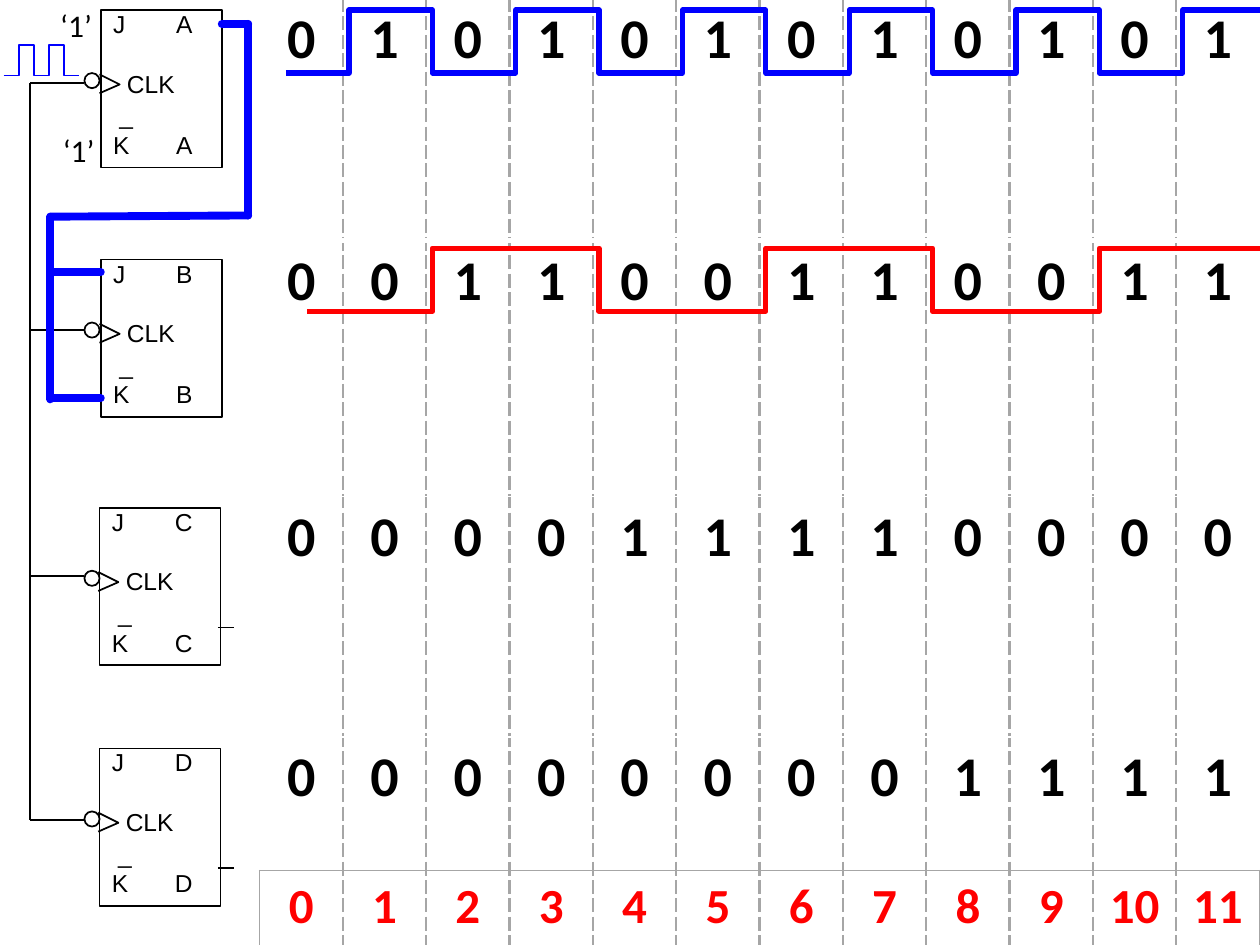
from lxml.etree import SubElement
from pptx import Presentation
from pptx.dml.color import RGBColor
from pptx.enum.shapes import MSO_CONNECTOR, MSO_SHAPE
from pptx.enum.text import PP_ALIGN
from pptx.oxml import parse_xml
from pptx.oxml.ns import nsdecls, qn
from pptx.util import Inches, Pt

BLACK = RGBColor(0x00, 0x00, 0x00)
WHITE = RGBColor(0xFF, 0xFF, 0xFF)
BLUE = RGBColor(0x00, 0x00, 0xFF)
RED = RGBColor(0xFF, 0x00, 0x00)
GREY = RGBColor(0xA6, 0xA6, 0xA6)

COUNTS = 12
TABLE_LEFT = 2.06
TABLE_WIDTH = 7.94
COLUMN = TABLE_WIDTH / COUNTS
ROW_HEIGHTS = [1.92, 2.03, 1.91, 1.06, 0.67]
BITS = [[(count >> place) & 1 for count in range(COUNTS)] for place in range(4)]

DASHED = (GREY, 1.5, "sysDash")
GREY_RULE = (GREY, 1, "solid")
WHITE_RULE = (WHITE, 1, "solid")
ROW_RULES = [WHITE_RULE, (WHITE, 3, "solid"), WHITE_RULE, WHITE_RULE, GREY_RULE, GREY_RULE]

CLOCK_X = 0.24
BUBBLE_X = 0.67
FEEDBACK_X = 0.4
OUTPUT_X = 1.97


class CounterSlide:
    def __init__(self, deck):
        self.slide = deck.slides.add_slide(deck.slide_layouts[6])
        self.shapes = self.slide.shapes

    def style_font(self, paragraph, name, size, color=BLACK, bold=False):
        font = paragraph.font
        font.name, font.size, font.bold = name, Pt(size), bold
        font.color.rgb = color

    def outline(self, shape, color=BLACK, weight=1):
        shape.shadow.inherit = False
        shape.fill.background()
        shape.line.color.rgb = color
        shape.line.width = Pt(weight)

    def box(self, kind, left, top, width, height):
        shape = self.shapes.add_shape(kind, Inches(left), Inches(top), Inches(width), Inches(height))
        self.outline(shape)
        return shape

    def wire(self, start, end, color=BLACK, weight=1):
        wire = self.shapes.add_connector(MSO_CONNECTOR.STRAIGHT, *map(Inches, start + end))
        wire.line.color.rgb = color
        wire.line.width = Pt(weight)
        if weight > 1:
            wire.line._get_or_add_ln().set("cap", "rnd")
        SubElement(wire._element.spPr, qn("a:effectLst"))

    def path_line(self, points, color=BLACK, weight=1):
        corners = [(Inches(x), Inches(y)) for x, y in points]
        builder = self.shapes.build_freeform(*corners[0])
        builder.add_line_segments(corners[1:], close=False)
        self.outline(builder.convert_to_shape(), color, weight)

    def waveform(self, bits, start, first_edge, step, end, high, low, color, weight):
        level = {0: low, 1: high}
        points = [(start, level[bits[0]])]
        for index in range(1, len(bits)):
            if bits[index] != bits[index - 1]:
                edge = first_edge + (index - 1) * step
                points += [(edge, level[bits[index - 1]]), (edge, level[bits[index]])]
        points.append((end, level[bits[-1]]))
        self.path_line(points, color, weight)

    def label(self, text, left, top):
        label = self.shapes.add_textbox(Inches(left), Inches(top), Inches(0.46), Inches(0.4))
        label.text_frame.word_wrap = False
        paragraph = label.text_frame.paragraphs[0]
        paragraph.text = text
        self.style_font(paragraph, "Calibri", 18)

    def flip_flop(self, output, left, top, top_tab, bottom_tab):
        body = self.box(MSO_SHAPE.RECTANGLE, left, top, 0.96, 1.25)
        frame = body.text_frame
        frame.word_wrap = True
        frame.margin_top = Inches(0.1)
        pins = [
            (f"J\t{output}", 0, top_tab, 25),
            ("CLK", 0.11, None, 9),
            ("_", 0.05, None, 8),
            (f"K\t{output}", 0, bottom_tab, 8),
        ]
        frame.text = "\n".join(pin[0] for pin in pins)
        for paragraph, (_, indent, tab, after) in zip(frame.paragraphs, pins):
            paragraph.alignment = PP_ALIGN.LEFT
            paragraph.line_spacing = Pt(9)
            paragraph.space_after = Pt(after)
            properties = paragraph._p.get_or_add_pPr()
            properties.set("marL", str(Inches(indent)))
            properties.set("indent", "0")
            if tab:
                tabs = SubElement(properties, qn("a:tabLst"))
                SubElement(tabs, qn("a:tab"), pos=str(Inches(tab)), algn="l")
            self.style_font(paragraph, "Arial", 14)
        frame.vertical_anchor = 1
        self.box(MSO_SHAPE.OVAL, BUBBLE_X, top + 0.5, 0.12, 0.12)
        edge = left - 0.01
        self.path_line([(edge, top + 0.51), (edge + 0.16, top + 0.59), (edge, top + 0.66)])

    def borders(self, cell, rules):
        for index, (side, (color, weight, dash)) in enumerate(zip("LRTB", rules)):
            cell._tc.get_or_add_tcPr().insert(index, parse_xml(
                f'<a:ln{side} {nsdecls("a")} w="{Pt(weight)}"><a:solidFill>'
                f'<a:srgbClr val="{color}"/></a:solidFill>'
                f'<a:prstDash val="{dash}"/></a:ln{side}>'))

    def count_table(self, rows):
        table = self.shapes.add_table(
            len(rows), COUNTS, Inches(TABLE_LEFT), Inches(-0.01),
            Inches(TABLE_WIDTH), Inches(sum(ROW_HEIGHTS))).table
        table.first_row = table.horz_banding = False
        for column in table.columns:
            column.width = Inches(COLUMN)
        for r, values in enumerate(rows):
            table.rows[r].height = Inches(ROW_HEIGHTS[r])
            is_count = r == len(rows) - 1
            side_rule = GREY_RULE if is_count else WHITE_RULE
            for c, value in enumerate(values):
                cell = table.cell(r, c)
                cell.fill.background()
                left_rule = DASHED if c else side_rule
                right_rule = DASHED if c < COUNTS - 1 else side_rule
                self.borders(cell, [left_rule, right_rule, ROW_RULES[r], ROW_RULES[r + 1]])
                paragraph = cell.text_frame.paragraphs[0]
                paragraph.text = str(value)
                paragraph.alignment = PP_ALIGN.CENTER
                self.style_font(paragraph, "Calibri", 28 if is_count else 32,
                                RED if is_count else BLACK, True)


def main():
    deck = Presentation()
    deck.slide_width, deck.slide_height = Inches(10), Inches(7.5)
    counter = CounterSlide(deck)

    counter.waveform([0, 1, 0, 1, 0], 0.03, 0.15, 0.12, 0.63, 0.36, 0.6, BLUE, 1)
    flip_flops = [
        ("A", 0.8, 0.08, 0.62, 0.6),
        ("B", 0.8, 2.06, 0.58, 0.61),
        ("C", 0.79, 4.03, 0.58, 0.61),
        ("D", 0.79, 5.94, 0.58, 0.61),
    ]
    for flip_flop in flip_flops:
        counter.flip_flop(*flip_flop)
    for stub_y in (4.98, 6.89):
        counter.wire((1.73, stub_y), (1.86, stub_y))
    for label_left, label_top in ((0.38, 0), (0.4, 0.99)):
        counter.label("‘1’", label_left, label_top)

    clock_levels = [0.66, 2.62, 4.57, 6.51]
    for clock_y in clock_levels:
        counter.wire((CLOCK_X, clock_y), (BUBBLE_X, clock_y))
    counter.wire((CLOCK_X, clock_levels[0]), (CLOCK_X, clock_levels[-1]))

    counter.count_table(BITS + [range(COUNTS)])
    counter.waveform(BITS[0], 2.27, 2.77, COLUMN, 10, 0.08, 0.58, BLUE, 3)
    counter.waveform(BITS[1], 2.44, 2.77, COLUMN, 10, 1.97, 2.47, RED, 3)

    feedback = [
        ((1.76, 0.19), (OUTPUT_X, 0.19)),
        ((0.8, 2.16), (FEEDBACK_X, 2.16)),
        ((0.8, 3.16), (FEEDBACK_X, 3.16)),
        ((FEEDBACK_X, 3.17), (FEEDBACK_X, 1.72)),
        ((FEEDBACK_X, 1.72), (OUTPUT_X, 1.71)),
        ((OUTPUT_X, 1.71), (OUTPUT_X, 0.19)),
    ]
    for start, end in feedback:
        counter.wire(start, end, BLUE, 4.5)

    deck.save("out.pptx")


if __name__ == "__main__":
    main()
